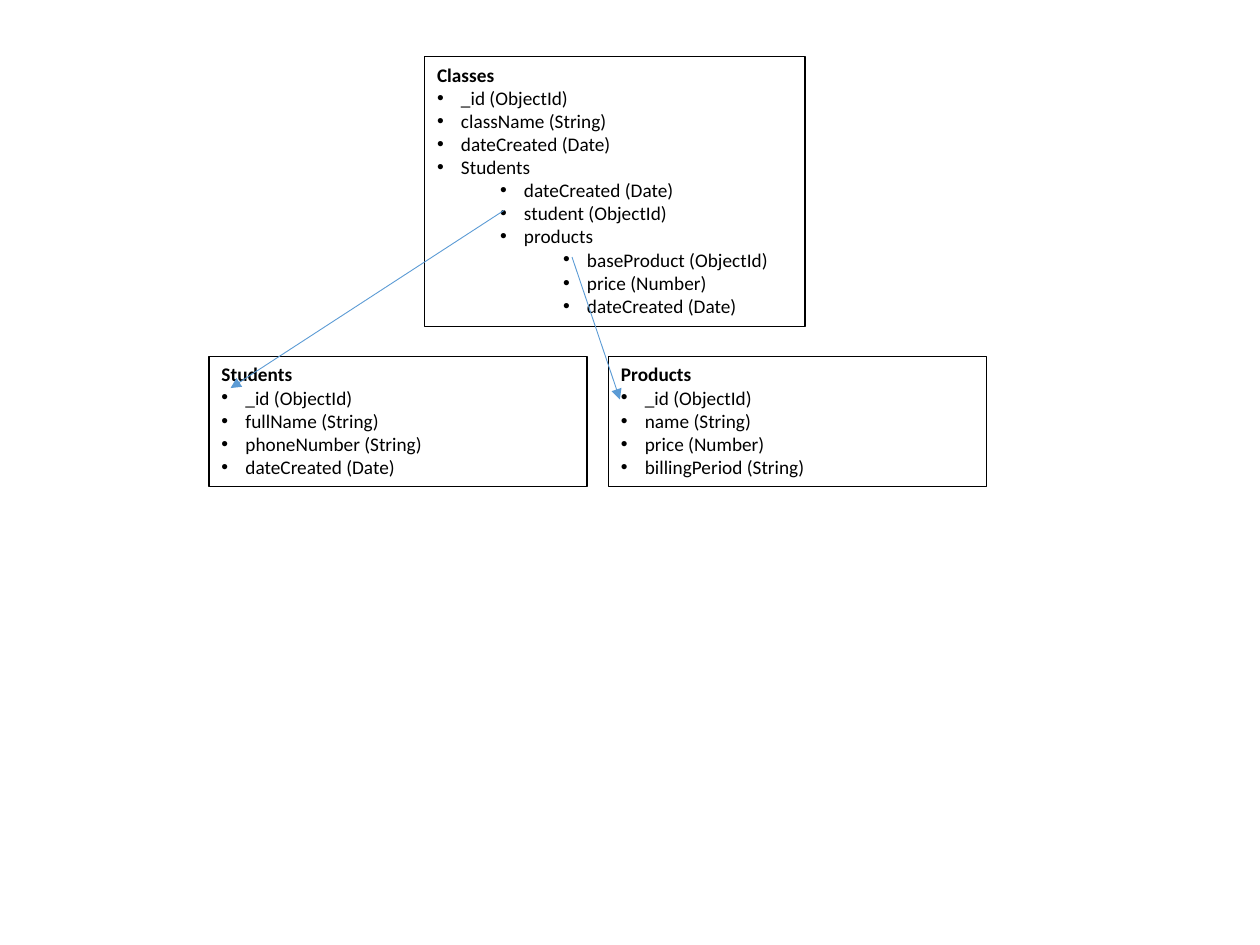
from pptx import Presentation
from pptx.dml.color import RGBColor
from pptx.enum import shapes, text
from pptx.oxml.ns import qn
from pptx.util import Inches, Pt
from lxml import etree

COLORS = {"ink": "000000", "arrow": "5B9BD5"}
FONT = {"name": "Calibri", "size": Pt(11)}
HANG = 0.19
LEVEL_STEP = 0.5

# Each collection: heading, (left, top, width, height), fields as (level, label)
COLLECTIONS = [
    ("Classes", (3.37, 0.45, 3.02, 2.14), [
        (0, "_id (ObjectId)"),
        (0, "className (String)"),
        (0, "dateCreated (Date)"),
        (0, "Students"),
        (1, "dateCreated (Date)"),
        (1, "student (ObjectId)"),
        (1, "products"),
        (2, "baseProduct (ObjectId)"),
        (2, "price (Number)"),
        (2, "dateCreated (Date)"),
    ]),
    ("Students", (1.66, 2.83, 3, 1.03), [
        (0, "_id (ObjectId)"),
        (0, "fullName (String)"),
        (0, "phoneNumber (String)"),
        (0, "dateCreated (Date)"),
    ]),
    ("Products", (4.83, 2.83, 3, 1.03), [
        (0, "_id (ObjectId)"),
        (0, "name (String)"),
        (0, "price (Number)"),
        (0, "billingPeriod (String)"),
    ]),
]

# Start and end of each arrow from a field to the collection it refers to
REFERENCES = [
    (4, 1.67, 1.83, 3.08),
    (4.54, 2.04, 4.92, 3.17),
]


def write_run(paragraph, label, bold):
    run = paragraph.add_run()
    run.text = label
    for name, value in {**FONT, "bold": bold}.items():
        setattr(run.font, name, value)
    run.font.color.rgb = RGBColor.from_string(COLORS["ink"])


def add_bullet(paragraph, level):
    """Give the paragraph a round bullet and the hanging indent of its level."""
    paragraph.level = level
    properties = paragraph._p.get_or_add_pPr()
    properties.set("marL", str(Inches(HANG + level * LEVEL_STEP)))
    properties.set("indent", str(-Inches(HANG)))
    etree.SubElement(properties, qn("a:buFont"), typeface="Arial")
    etree.SubElement(properties, qn("a:buChar"), char="•")


presentation = Presentation()
presentation.slide_width = Inches(10)
presentation.slide_height = Inches(7.5)
slide = presentation.slides.add_slide(presentation.slide_layouts[6])

for heading, box, fields in COLLECTIONS:
    shape = slide.shapes.add_textbox(*map(Inches, box))
    shape.line.color.rgb = RGBColor.from_string(COLORS["ink"])
    shape.line.width = Pt(0.75)
    frame = shape.text_frame
    frame.word_wrap = True
    frame.auto_size = text.MSO_AUTO_SIZE.SHAPE_TO_FIT_TEXT
    write_run(frame.paragraphs[0], heading, True)
    for level, label in fields:
        paragraph = frame.add_paragraph()
        add_bullet(paragraph, level)
        write_run(paragraph, label, False)

for ends in REFERENCES:
    arrow = slide.shapes.add_connector(
        shapes.MSO_CONNECTOR.STRAIGHT, *map(Inches, ends))
    arrow.line.color.rgb = RGBColor.from_string(COLORS["arrow"])
    arrow.line.width = Pt(0.5)
    etree.SubElement(arrow.line._get_or_add_ln(), qn("a:tailEnd"), type="triangle")
    etree.SubElement(arrow._element.spPr, qn("a:effectLst"))

presentation.save("out.pptx")
